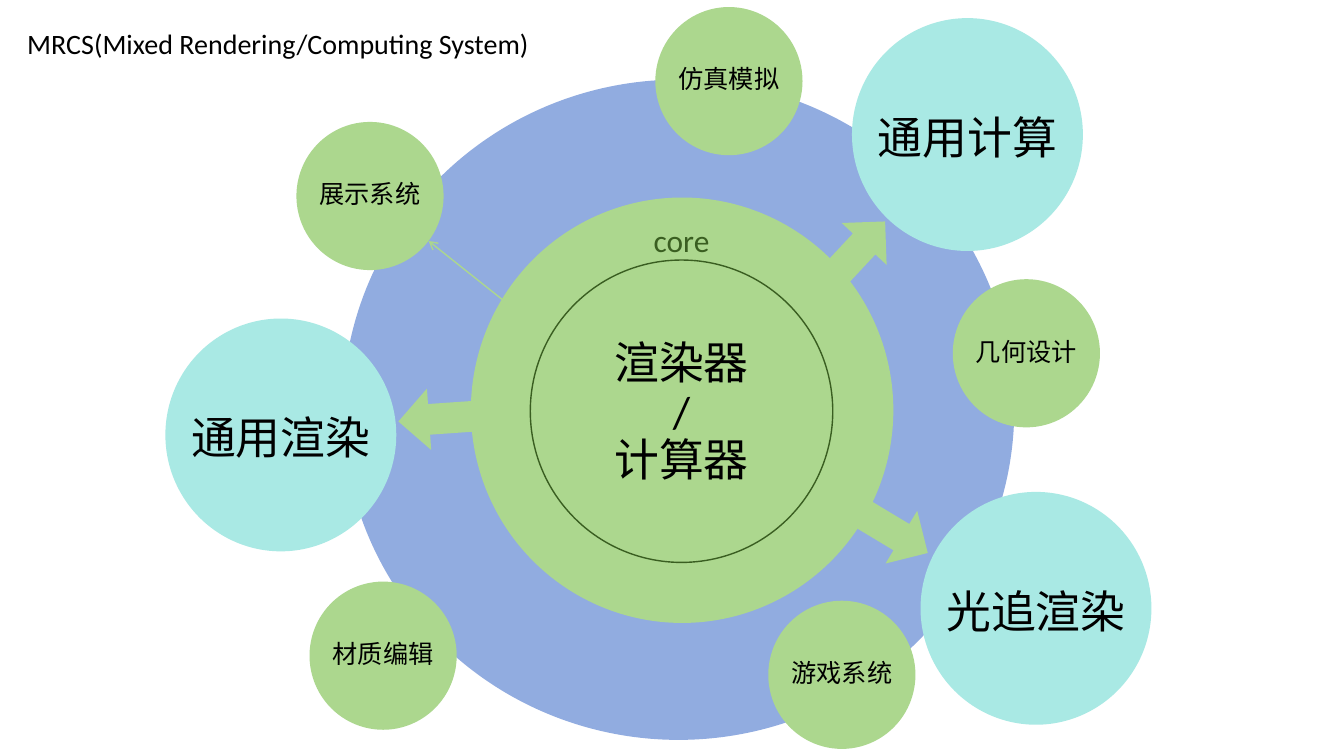
"""Build the MRCS slide: a rendering and computing core with its surrounding systems."""
from lxml import etree
from pptx import Presentation
from pptx.dml.color import RGBColor
from pptx.enum import shapes, text
from pptx.oxml import ns
from pptx.util import Inches, Pt

COLORS = {
    "ring": "91ACE0",
    "green": "ACD78E",
    "aqua": "A9E9E4",
    "dark": "3A5E21",
    "black": "000000",
}

presentation = Presentation()
presentation.slide_width = Inches(13.33)
presentation.slide_height = Inches(7.5)
slide = presentation.slides.add_slide(presentation.slide_layouts[5])


def add_figure(kind, left, top, width, height, fill=None, rotation=0):
    shape = slide.shapes.add_shape(
        kind, Inches(left), Inches(top), Inches(width), Inches(height))
    shape.shadow.inherit = False
    shape.rotation = rotation
    shape.line.fill.background()
    if fill:
        shape.fill.solid()
        shape.fill.fore_color.rgb = RGBColor.from_string(COLORS[fill])
    else:
        shape.fill.background()
    return shape


def write_text(shape, lines, size, color="black", align=text.PP_ALIGN.CENTER):
    frame = shape.text_frame
    frame.word_wrap = True
    frame.auto_size = text.MSO_AUTO_SIZE.NONE
    frame.vertical_anchor = text.MSO_ANCHOR.MIDDLE
    for index, line in enumerate(lines):
        paragraph = frame.add_paragraph() if index else frame.paragraphs[0]
        paragraph.alignment = align
        paragraph.line_spacing = 0.9
        run = paragraph.add_run()
        run.text = line
        run.font.name = "Calibri"
        run.font.size = Pt(size)
        run.font.color.rgb = RGBColor.from_string(COLORS[color])


title = slide.shapes.title
title.left, title.top = Inches(0.17), Inches(0.18)
title.width, title.height = Inches(5.52), Inches(0.54)
write_text(title, ["MRCS(Mixed Rendering/Computing System)"], 20, align=text.PP_ALIGN.LEFT)

OVAL = shapes.MSO_SHAPE.OVAL
add_figure(OVAL, 3.4, 0.79, 6.66, 6.55, "ring")
add_figure(OVAL, 4.67, 1.96, 4.19, 4.22, "green")
core = add_figure(OVAL, 5.26, 2.58, 3, 3)
core.line.color.rgb = RGBColor.from_string(COLORS["dark"])
core.line.width = Pt(1)

core_labels = [
    (["渲染器", "/", "计算器"], 4.52, 3.13, 4.48, 1.95, 32, "black"),
    (["core"], 6.12, 2.15, 1.28, 0.51, 22.4, "dark"),
]
for lines, left, top, width, height, size, color in core_labels:
    label = slide.shapes.add_textbox(
        Inches(left), Inches(top), Inches(width), Inches(height))
    write_text(label, lines, size, color)

arrows = [
    (8.14, 2.17, 0.76, 313),
    (3.95, 3.85, 0.76, 176),
    (8.44, 4.97, 0.82, 31),
]
for left, top, width, rotation in arrows:
    add_figure(shapes.MSO_SHAPE.RIGHT_ARROW, left, top, width, 0.61, "green", rotation)

engines = [("通用渲染", 1.64, 3.16), ("通用计算", 8.45, 0.18), ("光追渲染", 9.13, 4.88)]
systems = [
    ("展示系统", 2.94, 1.21),
    ("材质编辑", 3.07, 5.77),
    ("几何设计", 9.45, 2.77),
    ("游戏系统", 7.62, 5.96),
    ("仿真模拟", 6.5, 0.07),
]
satellite_groups = [
    (engines, 2.29, 2.31, "aqua", 32, -0.05, 0.83, 2.39, 0.76),
    (systems, 1.46, 1.47, "green", 18, 0.03, 0.52, 1.4, 0.42),
]
for group, width, height, fill, size, shift, drop, label_width, label_height in satellite_groups:
    for name, left, top in group:
        add_figure(OVAL, left, top, width, height, fill)
        label = slide.shapes.add_textbox(
            Inches(left + shift), Inches(top + drop),
            Inches(label_width), Inches(label_height))
        write_text(label, [name], size)

pointer = slide.shapes.add_connector(
    shapes.MSO_CONNECTOR.STRAIGHT,
    Inches(5.03), Inches(3.01), Inches(4.25), Inches(2.39))
pointer.line.color.rgb = RGBColor.from_string(COLORS["green"])
pointer.line.width = Pt(1)
etree.SubElement(pointer.line._get_or_add_ln(), ns.qn("a:tailEnd"), type="arrow")
etree.SubElement(pointer._element.spPr, ns.qn("a:effectLst"))

presentation.save("out.pptx")
